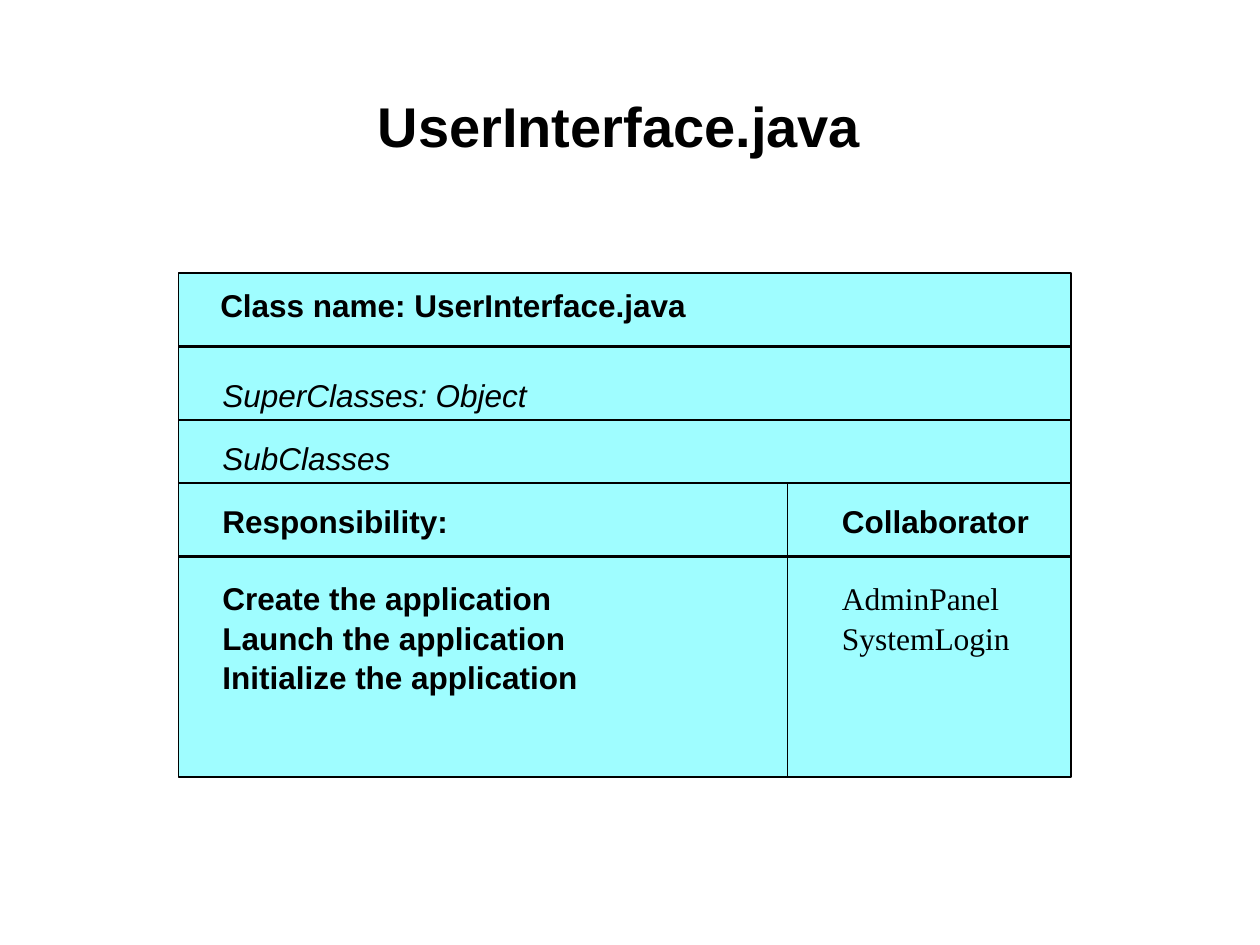
from lxml import etree
from pptx import Presentation
from pptx import util as u
from pptx.dml.color import RGBColor
from pptx.enum import shapes, text
from pptx.oxml import ns

COLUMNS, ROWS = 120, 90
UNIT = u.Inches(10) // COLUMNS
INK, CARD_FILL = "000000", "9FFDFF"
BOLD = {"name": "Arial", "size": u.Pt(18), "bold": True}
ITALIC = {"name": "Arial", "size": u.Pt(18), "italic": True}
SERIF = {"name": "Times New Roman", "size": u.Pt(18)}


def grid(*cells):
    return [round(cell * UNIT) for cell in cells]


def paint(color_format, value):
    color_format.rgb = RGBColor.from_string(value)


def style(target, values):
    for name, value in values.items():
        setattr(target, name, value)


def write(paragraph, wording, font):
    run = paragraph.add_run()
    run.text = wording
    style(run.font, font)
    paint(run.font.color, INK)


def stroke(line, width):
    paint(line.fill_color if hasattr(line, "fill_color") else line.color, INK)
    line.width = u.Pt(width)


def add_rule(slide, start, end, width):
    rule = slide.shapes.add_connector(
        shapes.MSO_CONNECTOR.STRAIGHT, *grid(*start, *end))
    stroke(rule.line, width)
    etree.SubElement(rule._element.spPr, ns.qn("a:effectLst"))


def add_entry(slide, box, heading, font, items=(), item_font=None, wrap=True):
    frame = slide.shapes.add_textbox(*grid(*box)).text_frame
    style(frame, {"word_wrap": wrap,
                  "auto_size": text.MSO_AUTO_SIZE.SHAPE_TO_FIT_TEXT})
    write(frame.paragraphs[0], heading, font)
    for item in items:
        write(frame.add_paragraph(), item, item_font)
    for paragraph in frame.paragraphs:
        paragraph.line_spacing = 1.05
    if items:
        frame.paragraphs[1].space_before = u.Pt(21.6)


def add_title(slide, box, wording):
    title = slide.shapes.title
    style(title, dict(zip(("left", "top", "width", "height"), grid(*box))))
    frame = title.text_frame
    style(frame, {"word_wrap": True, "vertical_anchor": text.MSO_ANCHOR.MIDDLE})
    heading = frame.paragraphs[0]
    heading.alignment = text.PP_ALIGN.CENTER
    write(heading, wording, {**BOLD, "size": u.Pt(32)})
    write(heading, " ", {**BOLD, "size": u.Pt(44)})


def add_class_card(slide, box):
    left, top, width, height = box
    right, bottom = left + width, top + height
    split = left + 58
    card = slide.shapes.add_shape(shapes.MSO_SHAPE.RECTANGLE, *grid(*box))
    card.shadow.inherit = False
    card.fill.solid()
    paint(card.fill.fore_color, CARD_FILL)
    stroke(card.line, 0.75)

    for row, weight in ((7, 2.25), (14, 1.5), (20, 1.5), (27, 2.25)):
        add_rule(slide, (left, top + row), (right, top + row), weight)
    add_rule(slide, (split, top + 20), (split, bottom), 0.75)

    add_entry(slide, (left + 2.8, top + 0.5, 79.4, 4.8),
              "Class name: UserInterface.java", BOLD)
    for row, label in ((9, "SuperClasses: Object"), (15, "SubClasses")):
        add_entry(slide, (left + 3, top + row, 79.2, 4.8), label, ITALIC)
    add_entry(slide, (left + 3, top + 21, 52, 19.4), "Responsibility:", BOLD,
              ("Create the application", "Launch the application",
               "Initialize the application"), BOLD)
    add_entry(slide, (split + 4, top + 21, 20.4, 15.7), "Collaborator", BOLD,
              ("AdminPanel", "SystemLogin"), SERIF, wrap=False)


def main():
    deck = Presentation()
    style(deck, {"slide_width": COLUMNS * UNIT, "slide_height": ROWS * UNIT})
    slide = deck.slides.add_slide(deck.slide_layouts.get_by_name("Title Only"))
    add_title(slide, (6, 3.6, 108, 15), "UserInterface.java")
    add_class_card(slide, (17, 26, 85, 48))
    deck.save("out.pptx")


if __name__ == "__main__":
    main()
